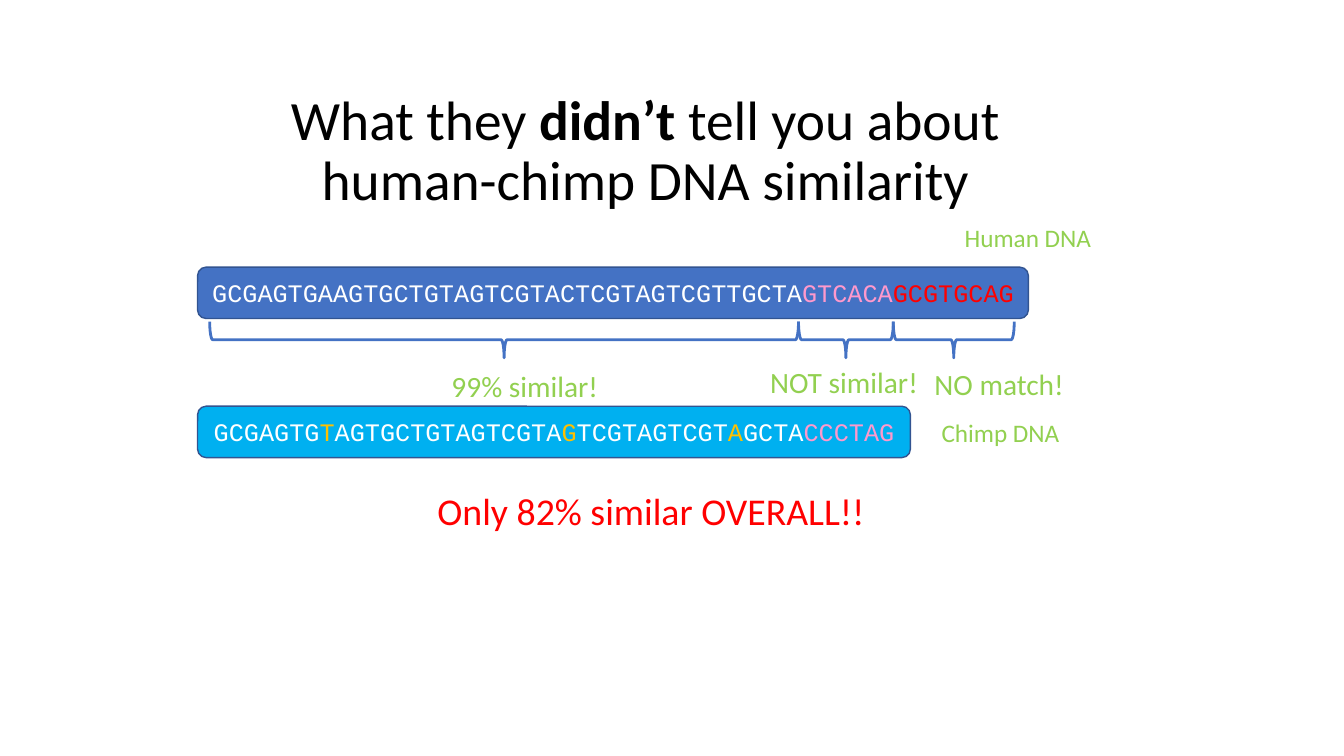
from itertools import pairwise

from pptx import Presentation
from pptx.dml.color import RGBColor
from pptx.enum.shapes import MSO_SHAPE as Preset
from pptx.enum.text import MSO_ANCHOR as Anchor, MSO_AUTO_SIZE as AutoSize, PP_ALIGN as Align
from pptx.util import Inches, Pt

WHITE, PINK, RED, AMBER, GREEN = "FFFFFF", "FF99CC", "FF0000", "FFC000", "92D050"
BLUE, SKY, NAVY, BLACK = "4472C4", "00B0F0", "325491", "000000"

TITLE = [("What they ", BLACK, False), ("didn’t", BLACK, True),
         (" tell you about human-chimp DNA similarity", BLACK, False)]
TITLE_BOX = (2.09, 0.97, 8.62, 1.09)

# top, width, fill, bases
STRANDS = [
    (2.65, 8.24, BLUE, [("GCGAGTGAAGTGCTGTAGTCGTACTCGTAGTCGTTGCTA", WHITE),
                        ("GTCACA", PINK), ("GCGTGCAG", RED)]),
    (4.03, 7.07, SKY, [("GCGAGTG", WHITE), ("T", AMBER), ("AGTGCTGTAGTCGTA", WHITE),
                       ("G", AMBER), ("TCGTAGTCGT", WHITE), ("A", AMBER),
                       ("GCTA", WHITE), ("CCCTAG", PINK)]),
]
STRAND_LEFT, STRAND_HEIGHT = 1.96, 0.51

# text, box, size, colour
LABELS = [
    ("Human DNA", (9.47, 2.16, 1.63, 0.4), 18, GREEN),
    ("Chimp DNA", (9.24, 4.09, 1.63, 0.4), 18, GREEN),
    ("99% similar!", (4.38, 3.6, 1.7, 0.45), 21, GREEN),
    ("NOT similar!", (7.54, 3.56, 1.7, 0.45), 21, GREEN),
    ("NO match!", (9.17, 3.58, 1.7, 0.45), 21, GREEN),
    ("Only 82% similar OVERALL!!", (4.24, 4.79, 4.69, 0.56), 27, RED),
]

REGION_EDGES = [2.08, 7.92, 8.86, 10.06]
BRACE_MIDDLE, BRACE_DEPTH = 3.37, 0.36


def colour(code):
    return RGBColor.from_string(code)


def inches(box):
    return [Inches(length) for length in box]


def write(frame, runs, size, font, align=Align.LEFT, **frame_format):
    """Fill a text frame with one paragraph of (text, colour[, bold]) runs."""
    for name, value in {"word_wrap": True, **frame_format}.items():
        setattr(frame, name, value)
    paragraph = frame.paragraphs[0]
    paragraph.alignment = align
    for text, code, *bold in runs:
        run = paragraph.add_run()
        run.text = text
        for name, value in {"name": font, "size": Pt(size), "bold": any(bold)}.items():
            setattr(run.font, name, value)
        run.font.color.rgb = colour(code)
    return paragraph


def add_outlined(shapes, preset, box, line, weight):
    shape = shapes.add_shape(preset, *inches(box))
    shape.shadow.inherit = False
    shape.line.color.rgb = colour(line)
    shape.line.width = Pt(weight)
    return shape


def add_strand(shapes, top, width, fill, bases):
    strand = add_outlined(shapes, Preset.ROUNDED_RECTANGLE,
                          (STRAND_LEFT, top, width, STRAND_HEIGHT), NAVY, 1)
    strand.fill.solid()
    strand.fill.fore_color.rgb = colour(fill)
    write(strand.text_frame, bases, 18, "Courier New", Align.CENTER,
          vertical_anchor=Anchor.MIDDLE)


def add_region_brace(shapes, start, end):
    """Lay a left brace on its side, spanning start to end and pointing down."""
    span = end - start
    box = ((start + end - BRACE_DEPTH) / 2, BRACE_MIDDLE - span / 2, BRACE_DEPTH, span)
    brace = add_outlined(shapes, Preset.LEFT_BRACE, box, BLUE, 2)
    brace.fill.background()
    brace.rotation = 270


def main():
    deck = Presentation()
    deck.slide_width, deck.slide_height = inches((13.33, 7.5))
    shapes = deck.slides.add_slide(deck.slide_layouts[6]).shapes

    title = shapes.add_textbox(*inches(TITLE_BOX))
    heading = write(title.text_frame, TITLE, 39.6, "Calibri", Align.CENTER,
                    vertical_anchor=Anchor.MIDDLE)
    heading.line_spacing = 0.9

    for strand in STRANDS:
        add_strand(shapes, *strand)
    for start, end in pairwise(REGION_EDGES):
        add_region_brace(shapes, start, end)
    for text, box, size, code in LABELS:
        label = shapes.add_textbox(*inches(box))
        write(label.text_frame, [(text, code)], size, "Calibri",
              auto_size=AutoSize.SHAPE_TO_FIT_TEXT)

    deck.save("out.pptx")


if __name__ == "__main__":
    main()
